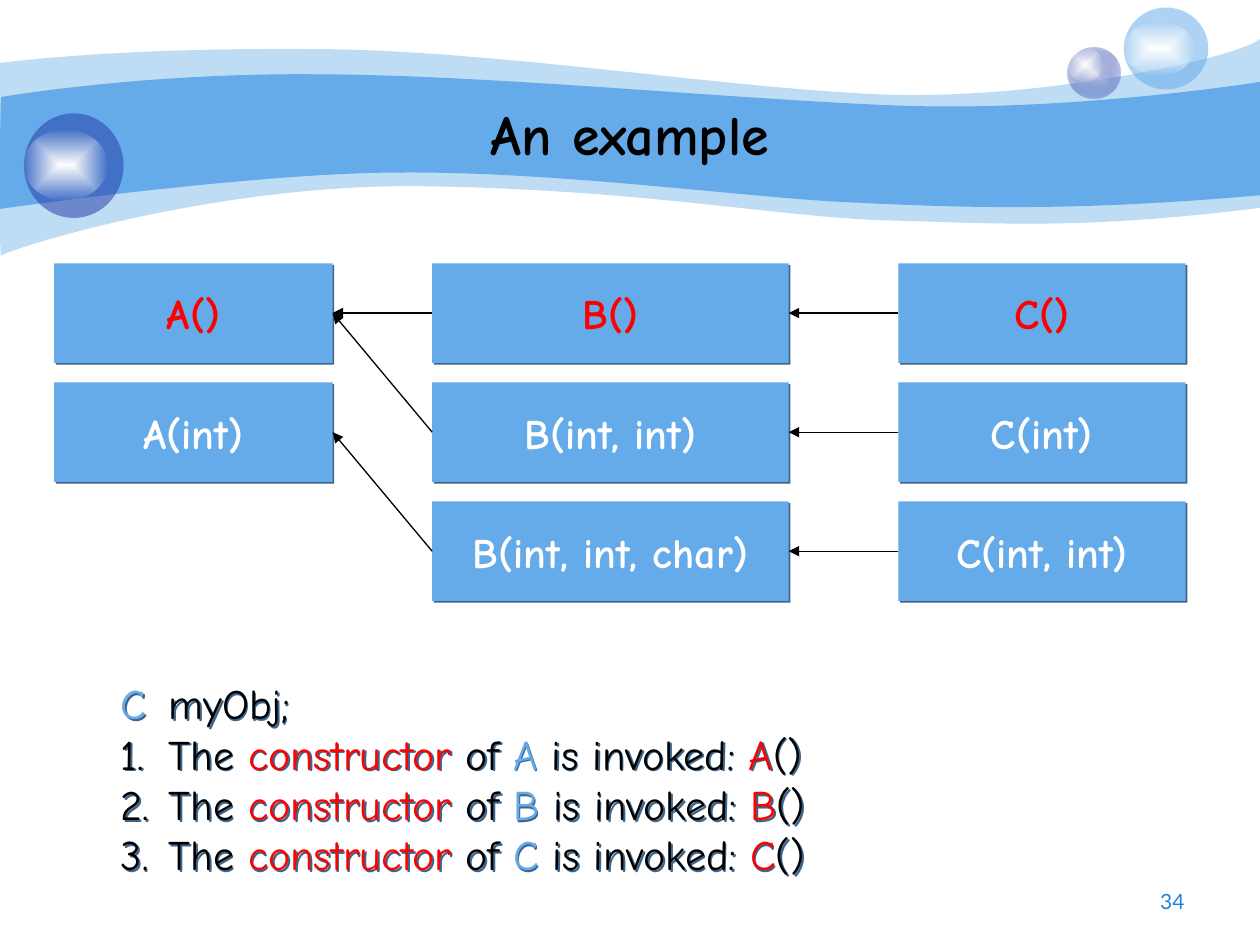
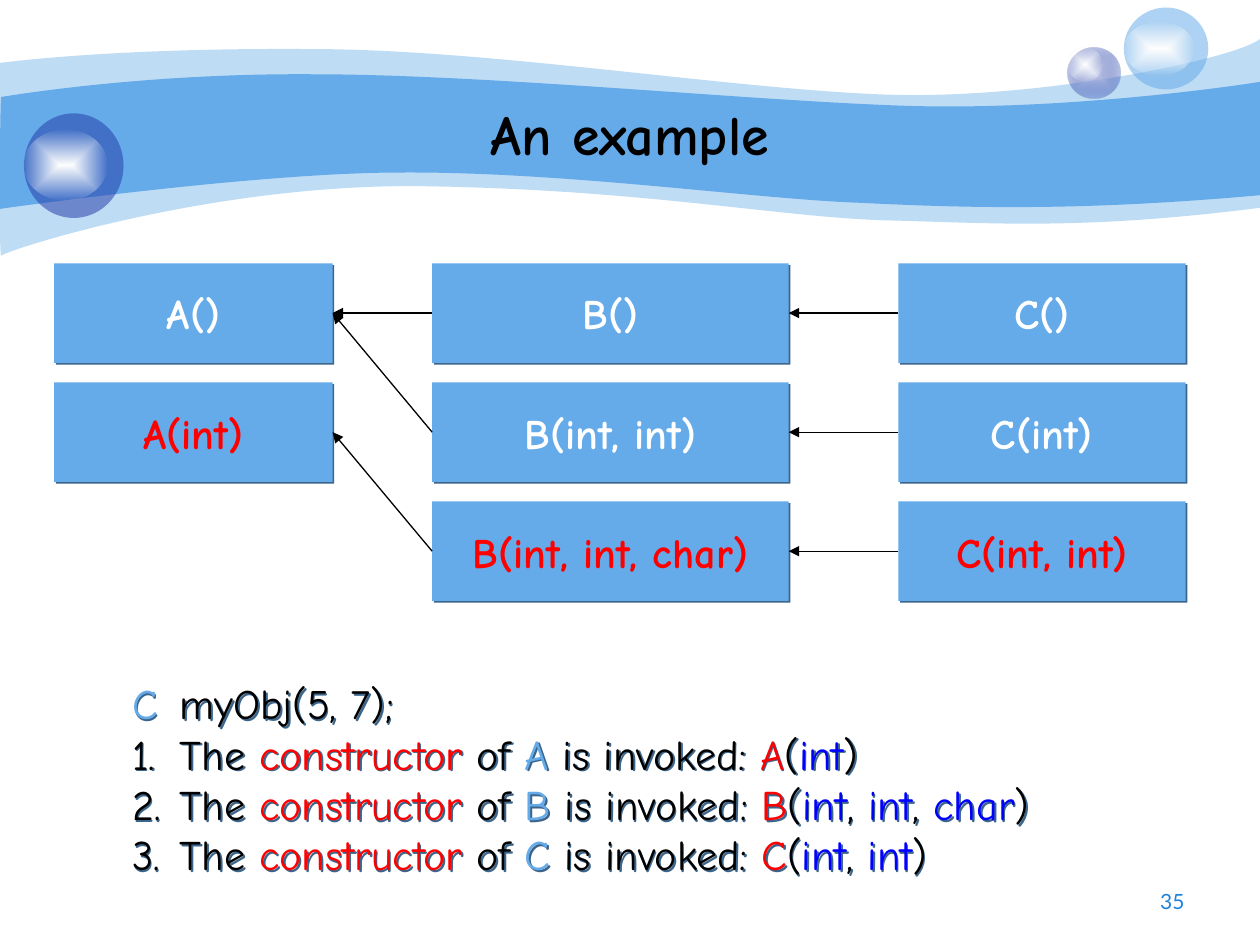
from lxml.etree import SubElement
from pptx import Presentation
from pptx.dml.color import RGBColor
from pptx.enum.shapes import MSO_CONNECTOR, MSO_SHAPE
from pptx.enum.text import MSO_ANCHOR, MSO_AUTO_SIZE, PP_ALIGN
from pptx.oxml.ns import qn
from pptx.util import Inches, Pt

COLORS = {
    "sky": "65AAE9", "navy": "233DA9", "lilac": "C7CEE9", "white": "FFFFFF",
    "black": "000000", "red": "FF0000", "blue": "0000FF",
    "shadow": "3C658B", "number": "1F82DB",
}
TITLE = {"name": "Comic Neue", "size": Pt(32), "bold": True}
BOX_LABEL = {"name": "Comic Neue", "size": Pt(24), "bold": True}
BODY = {"name": "Comic Neue", "size": Pt(24), "bold": False}
NUMBER = {"name": "Lato", "size": Pt(12), "bold": False}

# Each outline: start point, then one-point lines or three-point curves.
PALE_WAVE = [
    [(0, 0.5)],
    [(0.24, 0.47), (1.07, 0.38), (2.47, 0.39)],
    [(3.86, 0.39), (5.75, 0.7), (6.99, 0.75)],
    [(8.22, 0.8), (9.8, 0.47), (10, 0.31)],
    [(10, 1.65)],
    [(8.58, 1.83), (7.87, 1.77), (7.05, 1.75)],
    [(6.22, 1.73), (5.15, 1.51), (3.43, 1.48)],
    [(1.72, 1.44), (0.04, 1.99), (0.01, 2.03)],
    [(-0.01, 2.08), (0, 0.75), (0, 0.5)],
]
DEEP_WAVE = [
    [(0.01, 0.77)],
    [(0.02, 0.77), (1.1, 0.58), (2.48, 0.59)],
    [(3.86, 0.59), (5.95, 0.8), (7.18, 0.84)],
    [(8.41, 0.88), (9.76, 0.69), (10, 0.65)],
    [(10, 1.55)],
    [(8.53, 1.68), (7.65, 1.65), (6.82, 1.61)],
    [(5.99, 1.58), (4.47, 1.36), (3.17, 1.37)],
    [(2.03, 1.37), (-0.02, 1.66), (-0.01, 1.66)],
    [(0, 1.66), (0, 0.77), (0.01, 0.77)],
]
GLOSS = [("white", 100), ("white", 0)]
# Each bubble: box, fill stops, gloss box relative to the bubble.
BUBBLES = [
    ((8.47, 0.38, 0.42, 0.4), [("lilac", 100), ("navy", 31)], (0, 0, 0.28, 0.27)),
    ((8.92, 0.06, 0.67, 0.65), [("sky", 53)], (0, 0.11, 0.56, 0.43)),
    ((0.19, 0.9, 0.79, 0.83), [("navy", 53)], (0, 0.13, 0.66, 0.56)),
]

# Each class: left within the diagram, width, constructors.
CLASSES = {
    "A": (0, 2.21, ["", "int"]),
    "B": (3, 2.83, ["", "int, int", "int, int, char"]),
    "C": (6.7, 2.28, ["", "int", "int, int"]),
}
CALLS = [(("B", 0), ("A", 0)), (("B", 1), ("A", 0)), (("B", 2), ("A", 1))]
CALLS += [(("C", row), ("B", row)) for row in range(3)]
ROWS, BOX_HEIGHT = 3, 0.79

SLIDES = [
    {"number": 34, "declaration": "myObj;",
     "invoked": {"A": 0, "B": 0, "C": 0}, "steps": (0.86, 5.33, 5.65, 1.7)},
    {"number": 35, "declaration": "myObj(5, 7);",
     "invoked": {"A": 1, "B": 2, "C": 2}, "steps": (0.95, 5.33, 7.34, 1.7)},
]


def rgb(color):
    return RGBColor.from_string(COLORS[color])


def inches(box):
    return [Inches(v) for v in box]


def add_alpha(clr, alpha):
    if alpha < 100:
        SubElement(clr, qn("a:alpha"), val=str(alpha * 1000))


def add_color(parent, color, alpha=100):
    add_alpha(SubElement(parent, qn("a:srgbClr"), val=COLORS[color]), alpha)


def fill_shape(shape, stops):
    """Fill with one colour, or with a gradient from the centre out."""
    shape.shadow.inherit = False
    shape.line.fill.background()
    if len(stops) == 1:
        color, alpha = stops[0]
        shape.fill.solid()
        shape.fill.fore_color.rgb = rgb(color)
        add_alpha(shape._element.spPr.find(qn("a:solidFill"))[0], alpha)
        return
    shape.fill.gradient()
    grad = shape._element.spPr.find(qn("a:gradFill"))
    for child in list(grad):
        grad.remove(child)
    gs_lst = SubElement(grad, qn("a:gsLst"))
    for i, (color, alpha) in enumerate(stops):
        add_color(SubElement(gs_lst, qn("a:gs"), pos=str(i * 100000)), color, alpha)
    centre = SubElement(grad, qn("a:path"), {"path": "rect"})
    SubElement(centre, qn("a:fillToRect"), {side: "50000" for side in "ltrb"})


def add_shadow(shape):
    shape.shadow.inherit = False
    effects = shape._element.spPr.find(qn("a:effectLst"))
    outer = SubElement(effects, qn("a:outerShdw"), dist=str(Pt(1.4)),
                       dir="2700000", algn="ctr", rotWithShape="0")
    add_color(outer, "shadow")


def add_run(p, text, color, font):
    r = p.add_run()
    r.text = text
    for name, value in font.items():
        setattr(r.font, name, value)
    r.font.color.rgb = rgb(color)


def add_line_of_text(s, box, text, color, font, align, anchor):
    tf = s.shapes.add_textbox(*inches(box)).text_frame
    tf.word_wrap = True
    tf.vertical_anchor = anchor
    tf.paragraphs[0].alignment = align
    add_run(tf.paragraphs[0], text, color, font)


def add_wave(s, outline, alpha):
    """Lay all points as lines, then join each group of three into a curve."""
    start, *rest = [inches(pt) for segment in outline for pt in segment]
    builder = s.shapes.build_freeform(*start)
    builder.add_line_segments(rest, close=True)
    wave = builder.convert_to_shape()
    lines = iter(list(wave._element.iter(qn("a:lnTo"))))
    for segment in outline[1:]:
        first, *others = [next(lines) for _ in segment]
        if others:
            first.tag = qn("a:cubicBezTo")
        for line in others:
            first.append(line[0])
            line.getparent().remove(line)
    fill_shape(wave, [("sky", alpha)])


def add_bubble(s, box, stops, gloss):
    x, y = box[:2]
    gloss_box = (x + gloss[0], y + gloss[1], *gloss[2:])
    for oval_box, oval_stops in ((box, stops), (gloss_box, GLOSS)):
        oval = s.shapes.add_shape(MSO_SHAPE.OVAL, *inches(oval_box))
        fill_shape(oval, oval_stops)


def add_backdrop(s):
    add_wave(s, PALE_WAVE, 41)
    add_wave(s, DEEP_WAVE, 100)
    for bubble in BUBBLES:
        add_bubble(s, *bubble)


def add_title(s, box):
    add_line_of_text(s, box, "An example", "black", TITLE,
                     PP_ALIGN.CENTER, MSO_ANCHOR.MIDDLE)


def add_number(s, box, number):
    add_line_of_text(s, box, str(number), "number", NUMBER,
                     PP_ALIGN.RIGHT, MSO_ANCHOR.TOP)


def add_constructor_box(s, box, label, color):
    sp = s.shapes.add_shape(MSO_SHAPE.RECTANGLE, *inches(box))
    fill_shape(sp, [("sky", 100)])
    add_shadow(sp)
    tf = sp.text_frame
    tf.word_wrap = False
    tf.vertical_anchor = MSO_ANCHOR.MIDDLE
    tf.paragraphs[0].alignment = PP_ALIGN.CENTER
    add_run(tf.paragraphs[0], label, color, BOX_LABEL)
    return sp


def add_call_arrow(s, caller, called):
    left_side, right_side = 1, 3
    arrow = s.shapes.add_connector(MSO_CONNECTOR.STRAIGHT, 0, 0, 0, 0)
    arrow.begin_connect(caller, left_side)
    arrow.end_connect(called, right_side)
    arrow.line.width = Pt(0.75)
    arrow.line.color.rgb = rgb("black")
    SubElement(arrow.line._get_or_add_ln(), qn("a:tailEnd"), type="triangle")
    SubElement(arrow._element.spPr, qn("a:effectLst"))


def add_diagram(s, box, invoked):
    left, top, _, height = box
    pitch = (height - BOX_HEIGHT) / (ROWS - 1)
    boxes = {}
    for cls, (offset, width, constructors) in CLASSES.items():
        for row, args in enumerate(constructors):
            color = "red" if invoked[cls] == row else "white"
            place = (left + offset, top + row * pitch, width, BOX_HEIGHT)
            boxes[cls, row] = add_constructor_box(s, place, f"{cls}({args})", color)
    for caller, called in CALLS:
        add_call_arrow(s, boxes[caller], boxes[called])


def step_runs(cls, args):
    runs = [("The ", "black"), ("constructor", "red"), (" of ", "black"),
            (cls, "sky"), (" is invoked: ", "black"), (cls, "red")]
    if not args:
        return runs + [("()", "black")]
    opening = "("
    for arg in args.split(", "):
        runs += [(opening, "black"), (arg, "blue")]
        opening = ", "
    return runs + [(")", "black")]


def format_step(p, numbered):
    pPr = p._p.get_or_add_pPr()
    pPr.set("marL", str(Inches(0.38)))
    pPr.set("indent", str(-Inches(0.38)))
    if numbered:
        add_color(SubElement(pPr, qn("a:buClr")), "black")
        SubElement(pPr, qn("a:buFont"), typeface=BODY["name"])
        SubElement(pPr, qn("a:buAutoNum"), type="arabicPeriod")
    else:
        SubElement(pPr, qn("a:buNone"))
    tabs = SubElement(pPr, qn("a:tabLst"))
    SubElement(tabs, qn("a:tab"), pos="0", algn="l")


def add_steps(s, box, declaration, invoked):
    """The declaration and the numbered constructor calls it causes."""
    sp = s.shapes.add_textbox(*inches(box))
    add_shadow(sp)
    tf = sp.text_frame
    tf.word_wrap = False
    tf.auto_size = MSO_AUTO_SIZE.SHAPE_TO_FIT_TEXT
    lines = [[("C\t", "sky"), (declaration, "black")]]
    lines += [step_runs(cls, CLASSES[cls][2][row]) for cls, row in invoked.items()]
    for i, runs in enumerate(lines):
        p = tf.add_paragraph() if i else tf.paragraphs[0]
        format_step(p, numbered=i > 0)
        for text, color in runs:
            add_run(p, text, color, BODY)


def main():
    prs = Presentation()
    prs.slide_width, prs.slide_height = Inches(10), Inches(7.5)
    for content in SLIDES:
        s = prs.slides.add_slide(prs.slide_layouts[6])
        add_backdrop(s)
        add_diagram(s, (0.43, 2.09, 8.98, 2.68), content["invoked"])
        add_title(s, (0, 0.75, 10, 0.62))
        add_steps(s, content["steps"], content["declaration"], content["invoked"])
        add_number(s, (7.17, 7, 2.33, 0.35), content["number"])
    prs.save("out.pptx")


if __name__ == "__main__":
    main()
